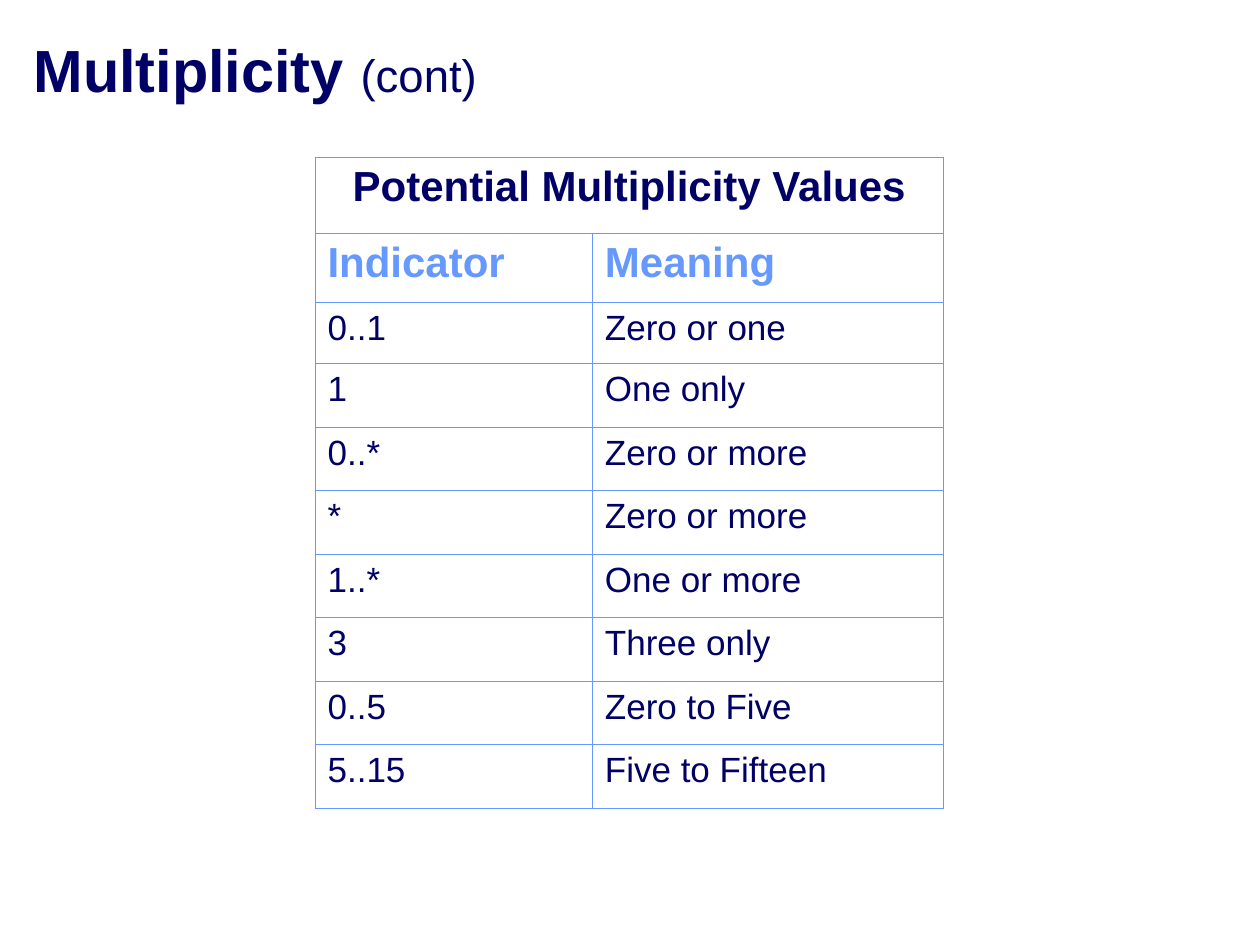
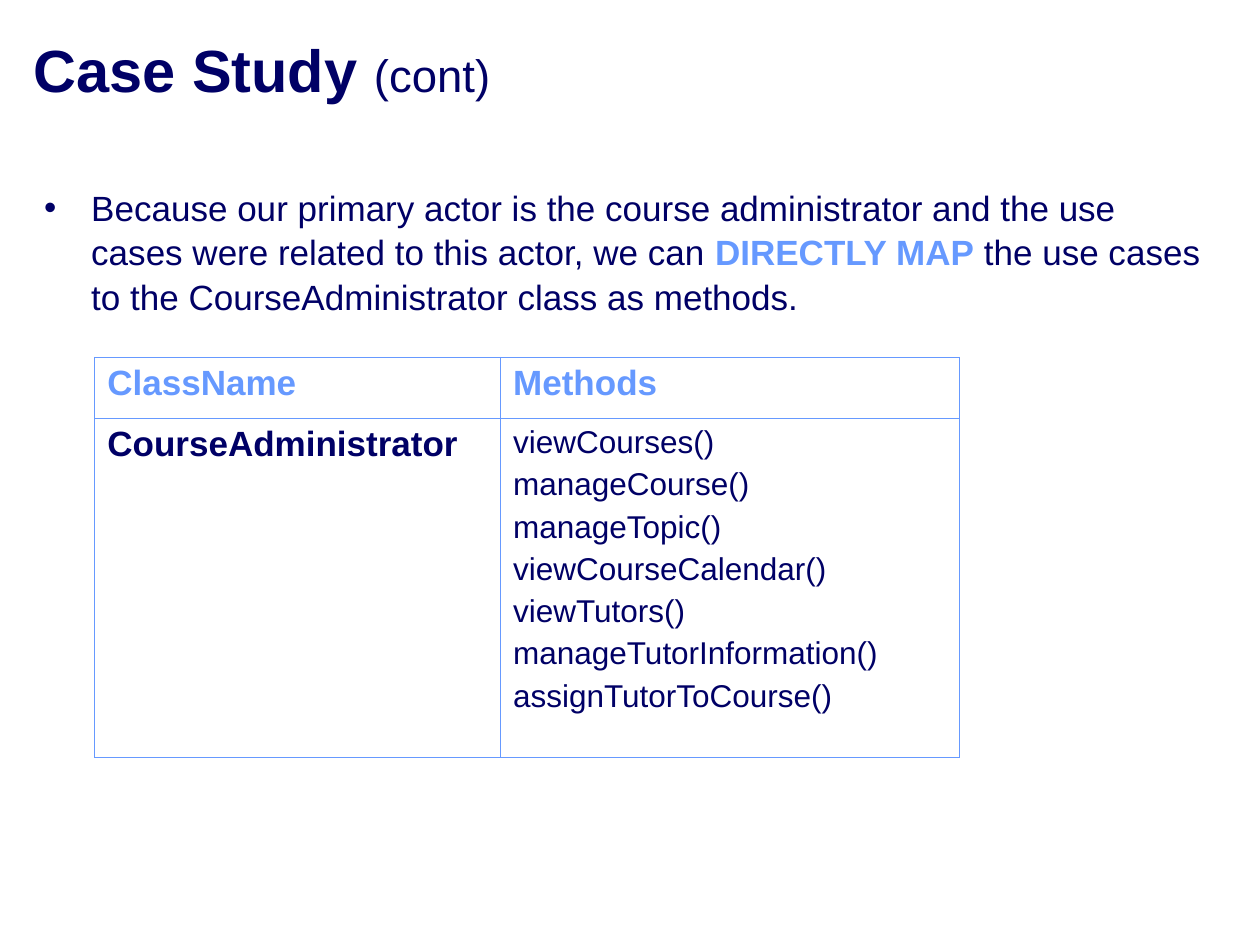
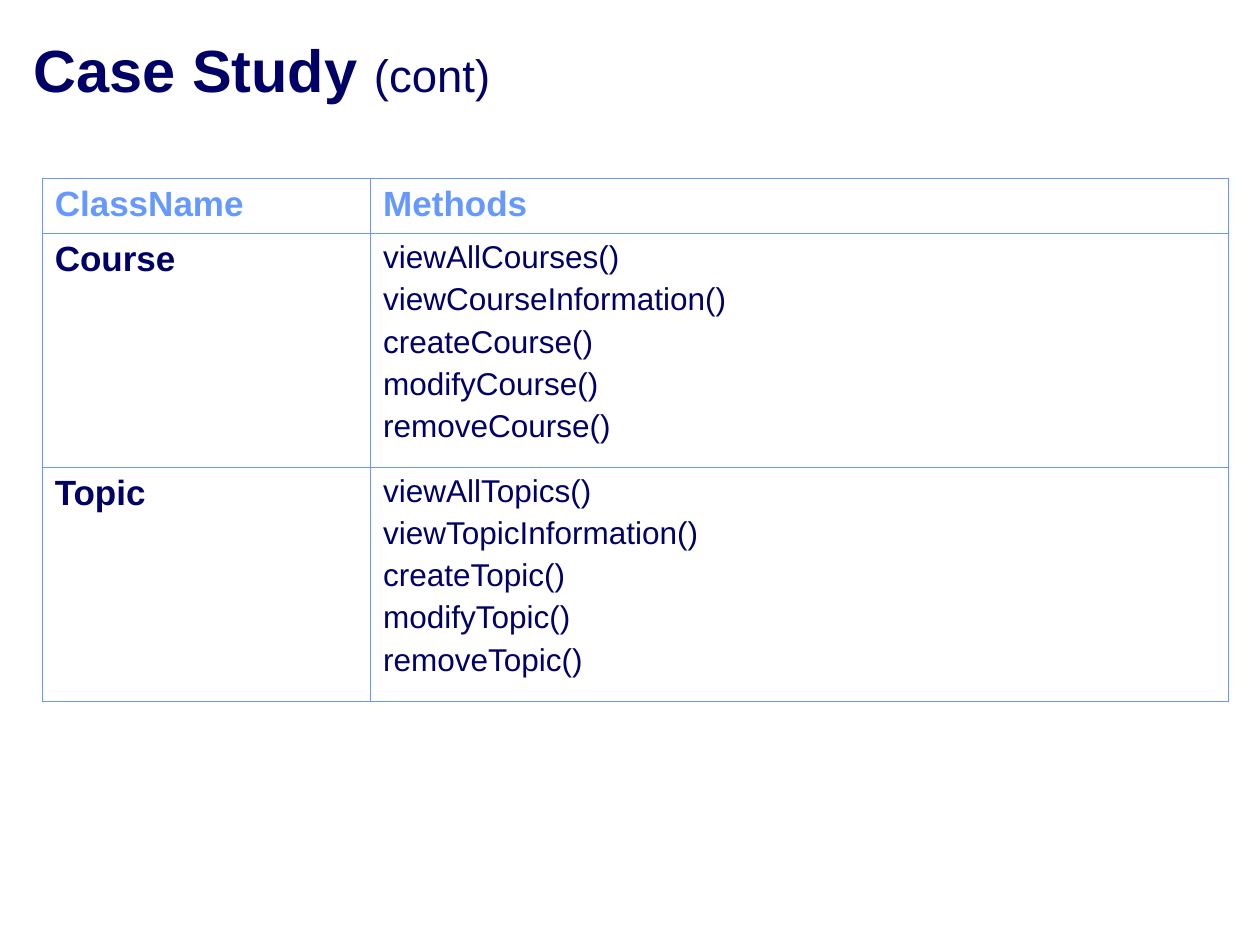
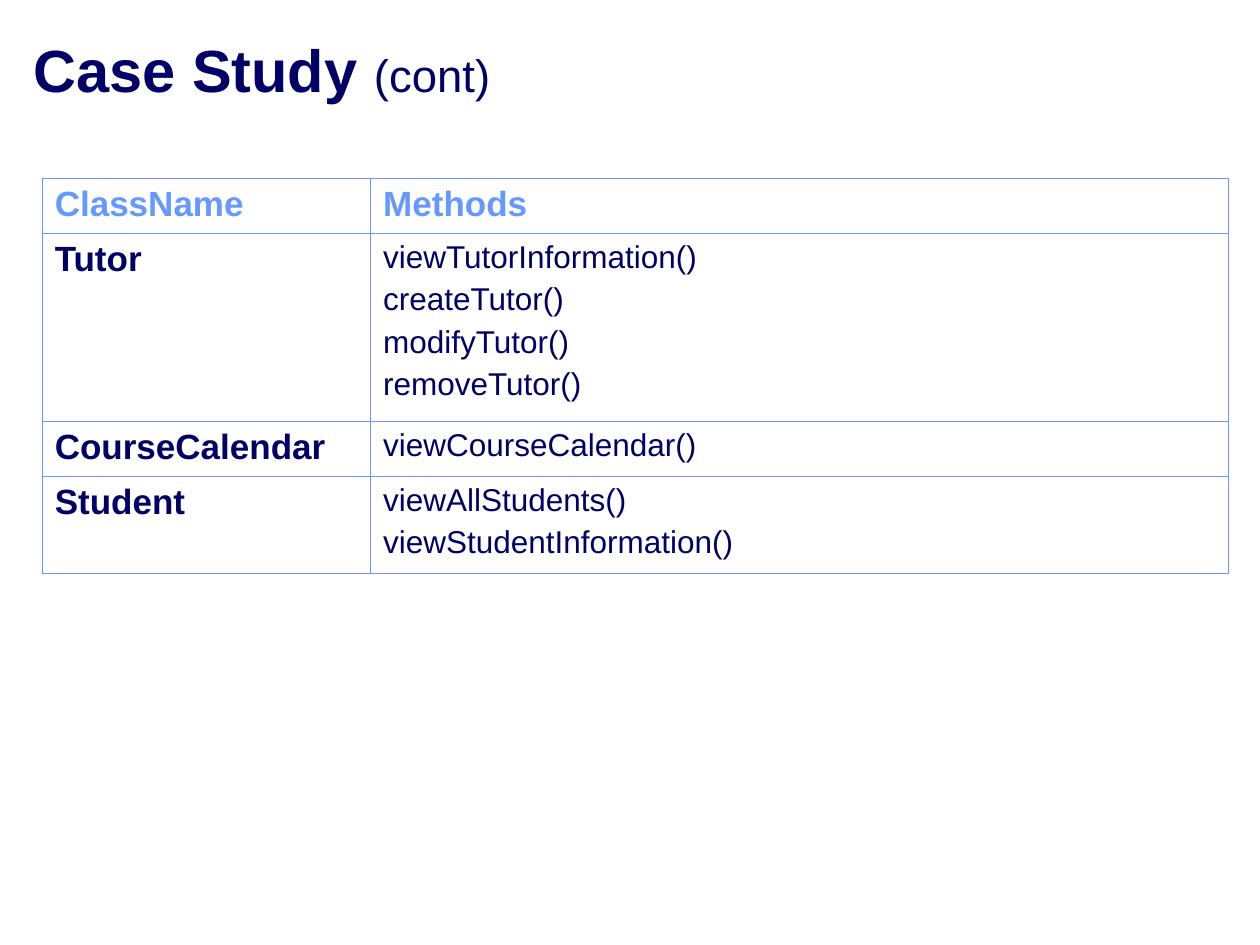
from dataclasses import dataclass

from lxml.etree import SubElement
from pptx import Presentation
from pptx.dml.color import RGBColor
from pptx.enum.text import MSO_ANCHOR, PP_ALIGN
from pptx.oxml.ns import qn
from pptx.util import Cm, Pt


@dataclass(frozen=True)
class TextStyle:
    size: float
    color: str
    bold: bool = False


class Theme:
    font = "Arial"
    navy = "000066"
    blue = "6699FF"
    border_width = Pt(0.45)
    line_gap = Pt(4)
    title = TextStyle(34, navy, True)
    subtitle = TextStyle(26, navy)
    caption = TextStyle(24, navy, True)
    large_header = TextStyle(24, blue, True)
    header = TextStyle(20, blue, True)
    class_name = TextStyle(20, navy, True)
    body = TextStyle(20, navy)
    emphasis = TextStyle(20, blue, True)
    method = TextStyle(18, navy)


# Content
MULTIPLICITY_CAPTION = "Potential Multiplicity Values"
MULTIPLICITY_HEADER = ("Indicator", "Meaning")
MULTIPLICITIES = [
    ("0..1", "Zero or one"),
    ("1", "One only"),
    ("0..*", "Zero or more"),
    ("*", "Zero or more"),
    ("1..*", "One or more"),
    ("3", "Three only"),
    ("0..5", "Zero to Five"),
    ("5..15", "Five to Fifteen"),
]

MAPPING_NOTE = [
    ("Because our primary actor is the course administrator and the use cases "
     "were related to this actor, we can ", Theme.body),
    ("DIRECTLY MAP", Theme.emphasis),
    (" the use cases to the CourseAdministrator class as methods.", Theme.body),
]

CLASS_HEADER = ("ClassName", "Methods")
ADMINISTRATOR_CLASS = [
    ("CourseAdministrator", [
        "viewCourses()", "manageCourse()", "manageTopic()",
        "viewCourseCalendar()", "viewTutors()", "manageTutorInformation()",
        "assignTutorToCourse()"]),
]
COURSE_CLASSES = [
    ("Course", ["viewAllCourses()", "viewCourseInformation()",
                "createCourse()", "modifyCourse()", "removeCourse()"]),
    ("Topic", ["viewAllTopics()", "viewTopicInformation()",
               "createTopic()", "modifyTopic()", "removeTopic()"]),
]
PEOPLE_CLASSES = [
    ("Tutor", ["viewTutorInformation()", "createTutor()", "modifyTutor()",
               "removeTutor()"]),
    ("CourseCalendar", ["viewCourseCalendar()"]),
    ("Student", ["viewAllStudents()", "viewStudentInformation()"]),
]

# Table places in cm: left, top, column widths
MULTIPLICITY_PLACE = (6.35, 3.17, (5.59, 7.08))
ADMINISTRATOR_PLACE = (1.91, 7.2, (8.18, 9.24))
CLASSES_PLACE = (0.85, 3.6, (6.62, 17.3))


def apply_style(font, style):
    font.name = Theme.font
    font.size = Pt(style.size)
    font.bold = style.bold
    font.color.rgb = RGBColor.from_string(style.color)


def add_runs(paragraph, parts):
    for text, style in parts:
        run = paragraph.add_run()
        run.text = text
        apply_style(run.font, style)


def add_text_box(slide, left, top, width, height):
    box = slide.shapes.add_textbox(Cm(left), Cm(top), Cm(width), Cm(height))
    box.text_frame.word_wrap = True
    return box.text_frame


def add_titled_slide(presentation, title):
    slide = presentation.slides.add_slide(presentation.slide_layouts[6])
    frame = add_text_box(slide, 0.43, 0.43, 19.69, 1.9)
    frame.vertical_anchor = MSO_ANCHOR.MIDDLE
    add_runs(frame.paragraphs[0],
             [(title + " ", Theme.title), ("(cont)", Theme.subtitle)])
    return slide


def add_bullet_note(slide, parts):
    frame = add_text_box(slide, 0.64, 3.6, 24.13, 13.34)
    frame.margin_right = Cm(0.4)
    paragraph = frame.paragraphs[0]
    paragraph.line_spacing = 1.05
    properties = paragraph._p.get_or_add_pPr()
    properties.set("marL", str(Cm(0.95)))
    properties.set("indent", str(Cm(-0.95)))
    bullet_color = SubElement(properties, qn("a:buClr"))
    SubElement(bullet_color, qn("a:srgbClr"), val=Theme.navy)
    SubElement(properties, qn("a:buFont"), typeface=Theme.font)
    SubElement(properties, qn("a:buChar"), char="•")
    add_runs(paragraph, parts)


def set_borders(cell):
    properties = cell._tc.get_or_add_tcPr()
    for index, side in enumerate(("lnL", "lnR", "lnT", "lnB")):
        line = SubElement(properties, qn("a:" + side), w=str(Theme.border_width))
        fill = SubElement(line, qn("a:solidFill"))
        SubElement(fill, qn("a:srgbClr"), val=Theme.blue)
        properties.insert(index, line)


def fill_cell(cell, lines, style):
    cell.text = "\n".join(lines)
    for index, paragraph in enumerate(cell.text_frame.paragraphs):
        if index:
            paragraph.space_before = Theme.line_gap
        apply_style(paragraph.font, style)


def add_grid(slide, place, rows, heights):
    """Each row is a list of (lines, style), one entry per filled cell."""
    left, top, widths = place
    table = slide.shapes.add_table(
        len(rows), len(widths), Cm(left), Cm(top),
        Cm(sum(widths)), Cm(sum(heights))).table
    table.first_row = table.horz_banding = False
    for column, width in zip(table.columns, widths):
        column.width = Cm(width)
    for row, height in zip(table.rows, heights):
        row.height = Cm(height)
    for cell in table.iter_cells():
        cell.fill.background()
        set_borders(cell)
    for row_index, row in enumerate(rows):
        for column_index, (lines, style) in enumerate(row):
            fill_cell(table.cell(row_index, column_index), lines, style)
    return table


def add_multiplicity_table(slide):
    rows = [[([MULTIPLICITY_CAPTION], Theme.caption)],
            [([text], Theme.large_header) for text in MULTIPLICITY_HEADER]]
    rows += [[([text], Theme.body) for text in pair] for pair in MULTIPLICITIES]
    heights = [1.54, 1.39, 1.23] + [1.28] * (len(MULTIPLICITIES) - 1)
    table = add_grid(slide, MULTIPLICITY_PLACE, rows, heights)
    caption = table.cell(0, 0)
    caption.merge(table.cell(0, 1))
    caption.text_frame.paragraphs[0].alignment = PP_ALIGN.CENTER


def add_class_table(slide, place, classes, heights):
    rows = [[([text], Theme.header) for text in CLASS_HEADER]]
    rows += [[([name], Theme.class_name), (methods, Theme.method)]
             for name, methods in classes]
    add_grid(slide, place, rows, heights)


def main():
    presentation = Presentation()
    presentation.slide_width, presentation.slide_height = Cm(25.4), Cm(19.05)

    # Multiplicity values
    add_multiplicity_table(add_titled_slide(presentation, "Multiplicity"))

    # Use cases mapped to the administrator class
    slide = add_titled_slide(presentation, "Case Study")
    add_class_table(slide, ADMINISTRATOR_PLACE, ADMINISTRATOR_CLASS, [1.24, 6.83])
    add_bullet_note(slide, MAPPING_NOTE)

    # Remaining classes
    for classes, heights in (
            (COURSE_CLASSES, [1.11, 4.71, 4.71]),
            (PEOPLE_CLASSES, [1.11, 3.79, 1.11, 1.94])):
        slide = add_titled_slide(presentation, "Case Study")
        add_class_table(slide, CLASSES_PLACE, classes, heights)

    presentation.save("out.pptx")


if __name__ == "__main__":
    main()
